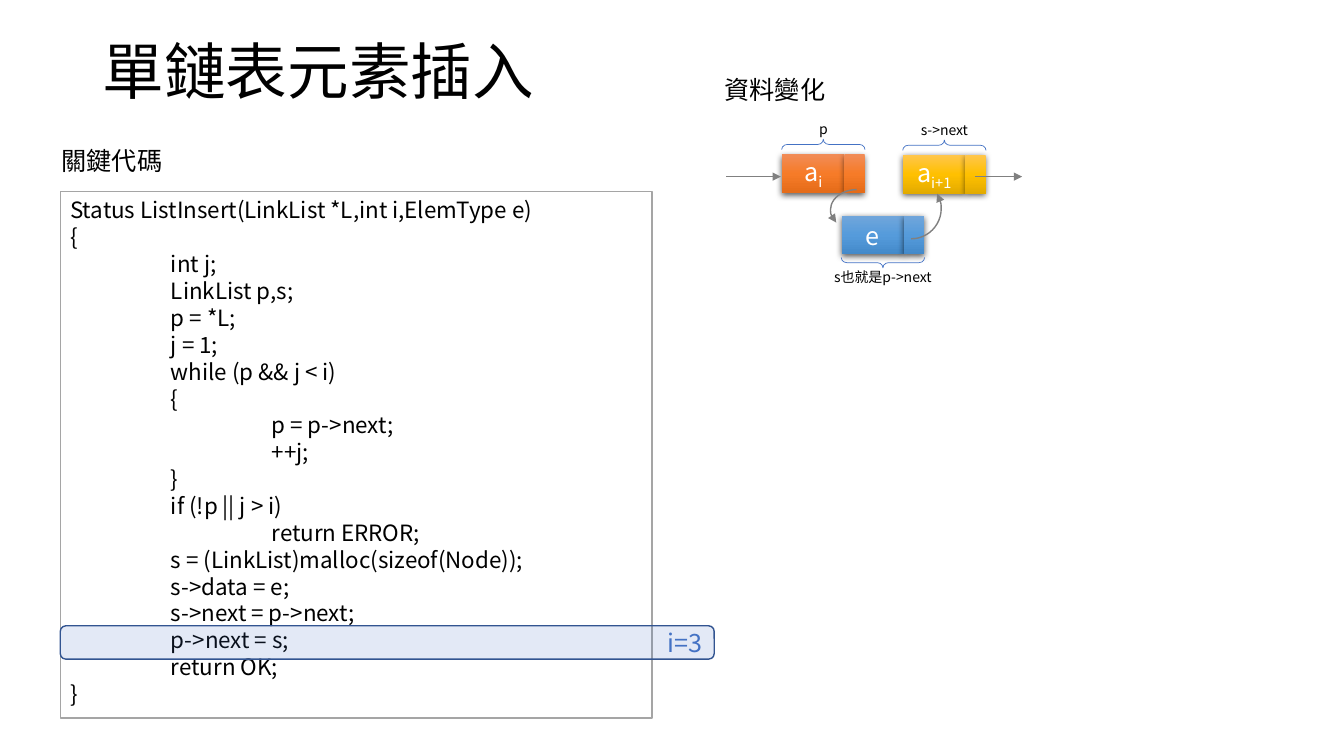
"""Builds one slide on inserting an element into a singly linked list."""
from copy import deepcopy
from lxml.etree import SubElement
from pptx import Presentation
from pptx.dml.color import RGBColor
from pptx.enum.shapes import MSO_CONNECTOR, MSO_SHAPE
from pptx.enum.text import MSO_ANCHOR, PP_ALIGN
from pptx.oxml.ns import qn
from pptx.util import Cm, Pt

FONT = "Noto Sans CJK SC"
HUES = {
    "ink": "000000", "paper": "FFFFFF", "frame": "A5A5A5", "arrow": "808080",
    "mark": "4472C4", "edge": "325491",
}
FADES = {
    "orange": ("F18C57", "F67B28", "E56C19"),
    "gold": ("FFC64B", "FFC000", "E3AB00"),
    "blue": ("71A6DB", "559BDB", "448ACA"),
}
CODE = """\
Status ListInsert(LinkList *L,int i,ElemType e)
{
 int j;
 LinkList p,s;
 p = *L;
 j = 1;
 while (p && j < i)
 {
  p = p->next;
  ++j;
 }
 if (!p || j > i)
  return ERROR;
 s = (LinkList)malloc(sizeof(Node));
 s->data = e;
 s->next = p->next;
 p->next = s;
 return OK;
}"""
TAB = Cm(2.54)
CELL, LINK, TALL = 1.57, 0.51, 0.97


def tint(text):
    """Return the colour for a hex string."""
    return RGBColor.from_string(text)


def style(para, size, hue="ink", align=PP_ALIGN.LEFT):
    """Set the font and alignment of a paragraph."""
    para.alignment = align
    font = para.font
    font.size, font.name = Pt(size), FONT
    font.color.rgb = tint(HUES[hue])
    props = para._p.pPr.find(qn("a:defRPr"))
    SubElement(props, qn("a:ea")).set("typeface", FONT)


def stroke(line, hue, width):
    """Set the colour and width of a line."""
    line.color.rgb = tint(HUES[hue])
    line.width = Pt(width)


def tip(shape, end):
    """Put a triangle on one end of a line."""
    line = shape.line._get_or_add_ln()
    SubElement(line, qn("a:" + end)).set("type", "triangle")


def form(slide, kind, box):
    """Add a preset shape without fill or shadow."""
    shape = slide.shapes.add_shape(kind, *map(Cm, box))
    shape.shadow.inherit = False
    shape.fill.background()
    return shape


def label(slide, box, text, size, align=PP_ALIGN.LEFT, wrap=True):
    """Add a text box with one paragraph."""
    frame = slide.shapes.add_textbox(*map(Cm, box)).text_frame
    frame.word_wrap = wrap
    frame.text = text
    style(frame.paragraphs[0], size, align=align)
    return frame


def title(slide, box):
    """Add the heading of the slide."""
    frame = label(slide, box, "單鏈表元素插入", 44)
    frame.vertical_anchor = MSO_ANCHOR.MIDDLE
    frame.paragraphs[0].line_spacing = 0.9


def code(slide, box):
    """Add the caption, the framed code and the marked line."""
    left, top, width, high = box
    label(slide, (left - 0.22, top - 1.3, 3.18, 1.02), "關鍵代碼", 18, wrap=False)
    sheet = form(slide, MSO_SHAPE.RECTANGLE, box)
    sheet.fill.solid()
    sheet.fill.fore_color.rgb = tint(HUES["paper"])
    stroke(sheet.line, "frame", 1)
    frame = sheet.text_frame
    frame.vertical_anchor = MSO_ANCHOR.TOP
    frame.word_wrap = True
    frame.text = "\n".join(row.strip() for row in CODE.splitlines())
    for para, row in zip(frame.paragraphs, CODE.splitlines()):
        style(para, 16)
        depth = len(row) - len(row.lstrip())
        para._p.pPr.set("marL", str(depth * TAB))

    mark = form(slide, MSO_SHAPE.ROUNDED_RECTANGLE,
                (left, top + 10.94, width + 1.57, 0.84))
    mark.fill.solid()
    mark.fill.fore_color.rgb = tint(HUES["mark"])
    shade = mark._element.spPr.find(qn("a:solidFill"))[0]
    SubElement(shade, qn("a:alpha")).set("val", "15000")
    stroke(mark.line, "edge", 1)
    mark.text_frame.text = "i=3"
    mark.text_frame.vertical_anchor = MSO_ANCHOR.MIDDLE
    style(mark.text_frame.paragraphs[0], 18, "mark", PP_ALIGN.RIGHT)


def cell(slide, box, fade):
    """Add one shaded part of a node."""
    shape = form(slide, MSO_SHAPE.RECTANGLE, box)
    shape.line.fill.background()
    shape.fill.gradient()
    shape.fill.gradient_angle = 270
    props = shape._element.spPr
    stops = props.find(qn("a:gradFill")).find(qn("a:gsLst"))
    stops.insert(1, deepcopy(stops[0]))
    for stop, hue, place in zip(shape.fill.gradient_stops, FADES[fade], (0, 0.5, 1)):
        stop.color.rgb = tint(hue)
        stop.position = place
    glow = SubElement(props.find(qn("a:effectLst")), qn("a:outerShdw"),
                      blurRad=str(Pt(4.5)), dist=str(Pt(1.5)), dir="5400000",
                      algn="ctr", rotWithShape="0")
    shade = SubElement(glow, qn("a:srgbClr"), val=HUES["ink"])
    SubElement(shade, qn("a:alpha"), val="63000")
    return shape


def node(slide, left, top, fade, name, index, note, below=False):
    """Add a list node with its brace and note."""
    body = cell(slide, (left, top, CELL, TALL), fade)
    cell(slide, (left + CELL, top, LINK, TALL), fade)
    frame = body.text_frame
    frame.vertical_anchor = MSO_ANCHOR.MIDDLE
    para = frame.paragraphs[0]
    style(para, 18, "paper", PP_ALIGN.CENTER)
    para.add_run().text = name
    if index:
        run = para.add_run()
        run.text = index
        run._r.get_or_add_rPr().set("baseline", "-25000")

    mid = left + (CELL + LINK) / 2
    level = top + (TALL + 0.21 if below else -0.25)
    brace = form(slide, MSO_SHAPE.RIGHT_BRACE, (mid - 0.13, level - 1.05, 0.26, 2.1))
    brace.rotation = 90 if below else 270
    brace.adjustments[0] = 0.54
    stroke(brace.line, "mark", 0.5)
    label(slide, (mid - 1.63, top + (1.21 if below else -0.97), 3.26, 0.68),
          note, 10, PP_ALIGN.CENTER)


def arrow(slide, left, right, top):
    """Add a level arrow pointing right."""
    line = slide.shapes.add_connector(
        MSO_CONNECTOR.STRAIGHT, *map(Cm, (left, top, right, top)))
    stroke(line.line, "arrow", 1)
    tip(line, "tailEnd")
    SubElement(line._element.spPr, qn("a:effectLst"))


def bend(slide, box, start, end):
    """Add an arc between two angles with a tip at its start."""
    arc = form(slide, MSO_SHAPE.ARC, box)
    arc.adjustments[0] = start * 0.6
    arc.adjustments[1] = end * 0.6
    stroke(arc.line, "arrow", 1)
    tip(arc, "headEnd")


def chain(slide, box):
    """Add the caption and the linked nodes."""
    left, top = box[:2]
    label(slide, (left - 0.29, top - 1.15, 3.07, 1.02), "資料變化", 18, wrap=False)
    node(slide, left + 1.41, top + 0.99, "orange", "a", "i", "p")
    node(slide, left + 4.46, top + 1.01, "gold", "a", "i+1", "s->next")
    node(slide, left + 2.91, top + 2.54, "blue", "e", "", "s也就是p->next", True)
    arrow(slide, left, left + 1.38, top + 1.55)
    arrow(slide, left + 6.28, left + 7.46, top + 1.55)
    bend(slide, (left + 2.63, top + 1.88, 1.32, 1.02), 148, 270)
    bend(slide, (left + 3.9, top + 1.6, 1.52, 1.52), 330, 90)


def main():
    """Build and save the slide."""
    deck = Presentation()
    deck.slide_width, deck.slide_height = Cm(33.87), Cm(19.05)
    slide = deck.slides.add_slide(deck.slide_layouts[6])
    title(slide, (2.34, 0.03, 29.21, 3.68))
    code(slide, (1.52, 4.83, 14.91, 13.26))
    chain(slide, (18.3, 2.9, 7.46, 4.43))
    deck.save("out.pptx")


if __name__ == "__main__":
    main()
